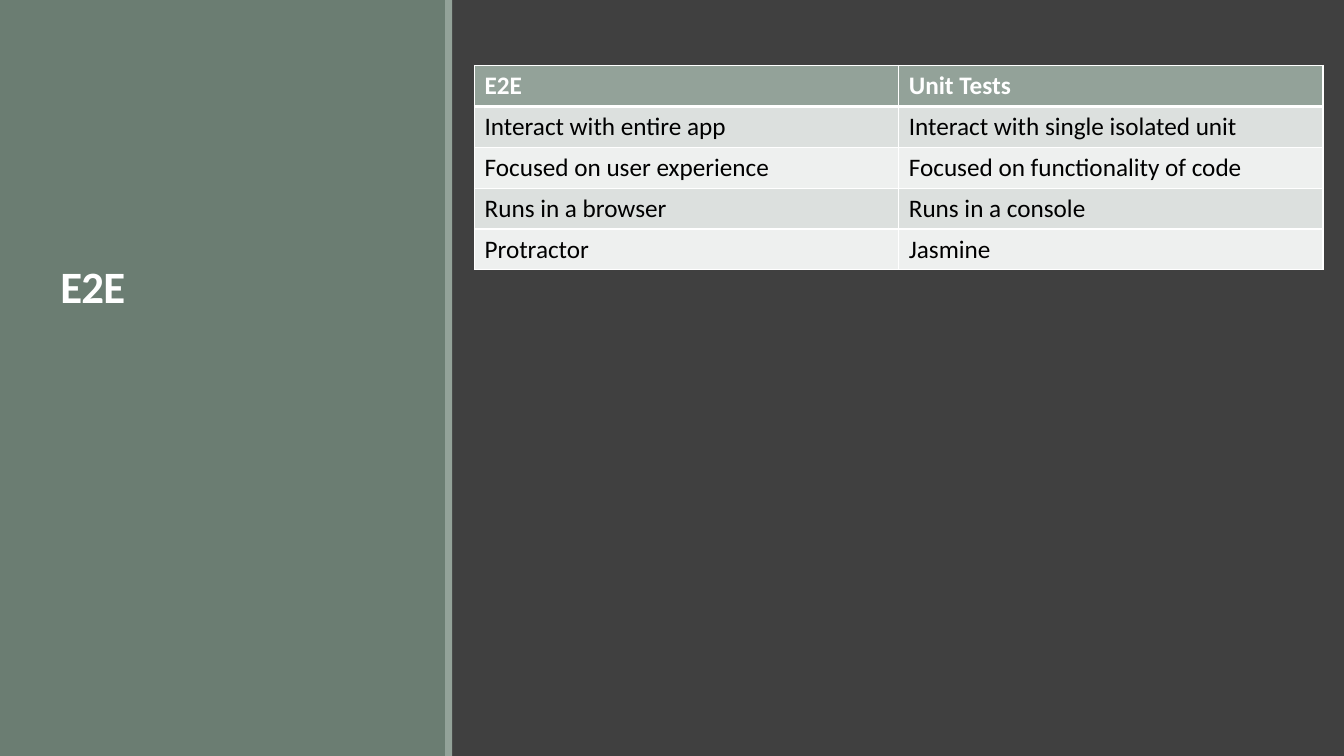
from dataclasses import dataclass

from lxml.etree import SubElement
from pptx import Presentation
from pptx.dml.color import RGBColor
from pptx.enum.shapes import MSO_SHAPE
from pptx.enum.text import MSO_ANCHOR
from pptx.oxml.ns import qn
from pptx.util import Pt


@dataclass(frozen=True)
class Theme:
    font: str = "Calibri"
    title_size: int = 32
    table_size: int = 18
    background: str = "404040"
    panel: str = "6B7D72"
    accent: str = "93A299"
    bands: tuple = ("DCE0DE", "EEF0EF")
    light: str = "FFFFFF"
    dark: str = "000000"


THEME = Theme()
SLIDE_WIDTH, SLIDE_HEIGHT = 960, 540
ROW_HEIGHT = 29.2
COMPARISON = [
    ("E2E", "Unit Tests"),
    ("Interact with entire app", "Interact with single isolated unit"),
    ("Focused on user experience", "Focused on functionality of code"),
    ("Runs in a browser", "Runs in a console"),
    ("Protractor", "Jasmine"),
]


def paint(fill, color):
    fill.solid()
    fill.fore_color.rgb = RGBColor.from_string(color)


def add_span(para, text, size, color, bold):
    span = para.add_run()
    span.text = text
    formats = {"name": THEME.font, "size": Pt(size), "bold": bold}
    for name, value in formats.items():
        setattr(span.font, name, value)
    span.font.color.rgb = RGBColor.from_string(color)
    return span


def add_band(page, left, width, color):
    """Add a full-height vertical band."""
    band = page.shapes.add_shape(
        MSO_SHAPE.RECTANGLE, Pt(left), Pt(0), Pt(width), Pt(SLIDE_HEIGHT))
    band.shadow.inherit = False
    band.line.fill.background()
    paint(band.fill, color)


def add_title(page, text, left, top, width, height):
    box = page.shapes.add_textbox(Pt(left), Pt(top), Pt(width), Pt(height))
    formats = {"word_wrap": True, "vertical_anchor": MSO_ANCHOR.BOTTOM}
    for name, value in formats.items():
        setattr(box.text_frame, name, value)
    para = box.text_frame.paragraphs[0]
    para.line_spacing = 0.85
    span = add_span(para, text, THEME.title_size, THEME.light, True)
    span.font._element.set("spc", "-50")


def add_borders(cell, widths):
    """Draw cell borders, placed ahead of the fill as the schema asks."""
    properties = cell._tc.get_or_add_tcPr()
    for position, (side, width) in enumerate(widths.items()):
        line = SubElement(properties, qn(f"a:ln{side}"), w=str(Pt(width)))
        fill = SubElement(line, qn("a:solidFill"))
        SubElement(fill, qn("a:srgbClr"), val=THEME.light)
        properties.insert(position, line)


def add_comparison(page, rows, left, top, width):
    frame = page.shapes.add_table(
        len(rows), len(rows[0]), Pt(left), Pt(top), Pt(width),
        Pt(ROW_HEIGHT * len(rows)))
    for row_index, texts in enumerate(rows):
        frame.table.rows[row_index].height = Pt(ROW_HEIGHT)
        header = row_index == 0
        fill = THEME.accent if header else THEME.bands[(row_index - 1) % 2]
        color = THEME.light if header else THEME.dark
        # The rule below the header is shared by the first two rows
        borders = {"L": 1, "R": 1, "T": 3 if row_index == 1 else 1,
                   "B": 3 if header else 1}
        for column_index, text in enumerate(texts):
            cell = frame.table.cell(row_index, column_index)
            paint(cell.fill, fill)
            add_borders(cell, borders)
            para = cell.text_frame.paragraphs[0]
            add_span(para, text, THEME.table_size, color, header)


def main():
    deck = Presentation()
    deck.slide_width, deck.slide_height = Pt(SLIDE_WIDTH), Pt(SLIDE_HEIGHT)
    page = deck.slides.add_slide(deck.slide_layouts[6])
    paint(page.background.fill, THEME.background)

    # Side panel with its edge and title
    add_band(page, 0, 319, THEME.panel)
    add_band(page, 318, 5, THEME.accent)
    add_title(page, "E2E", 36, 46.8, 252, 180)

    # Comparison of test kinds
    add_comparison(page, COMPARISON, 339, 46.8, 606)

    deck.save("out.pptx")


main()
